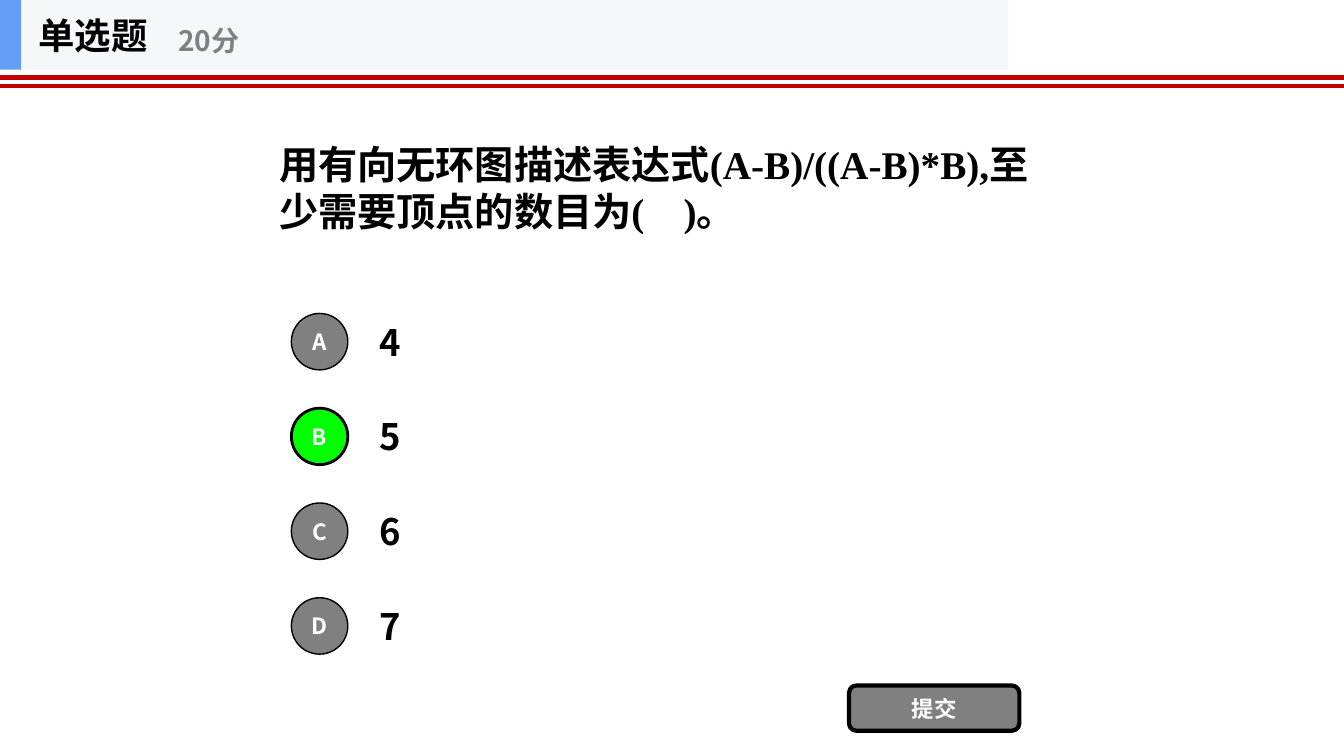
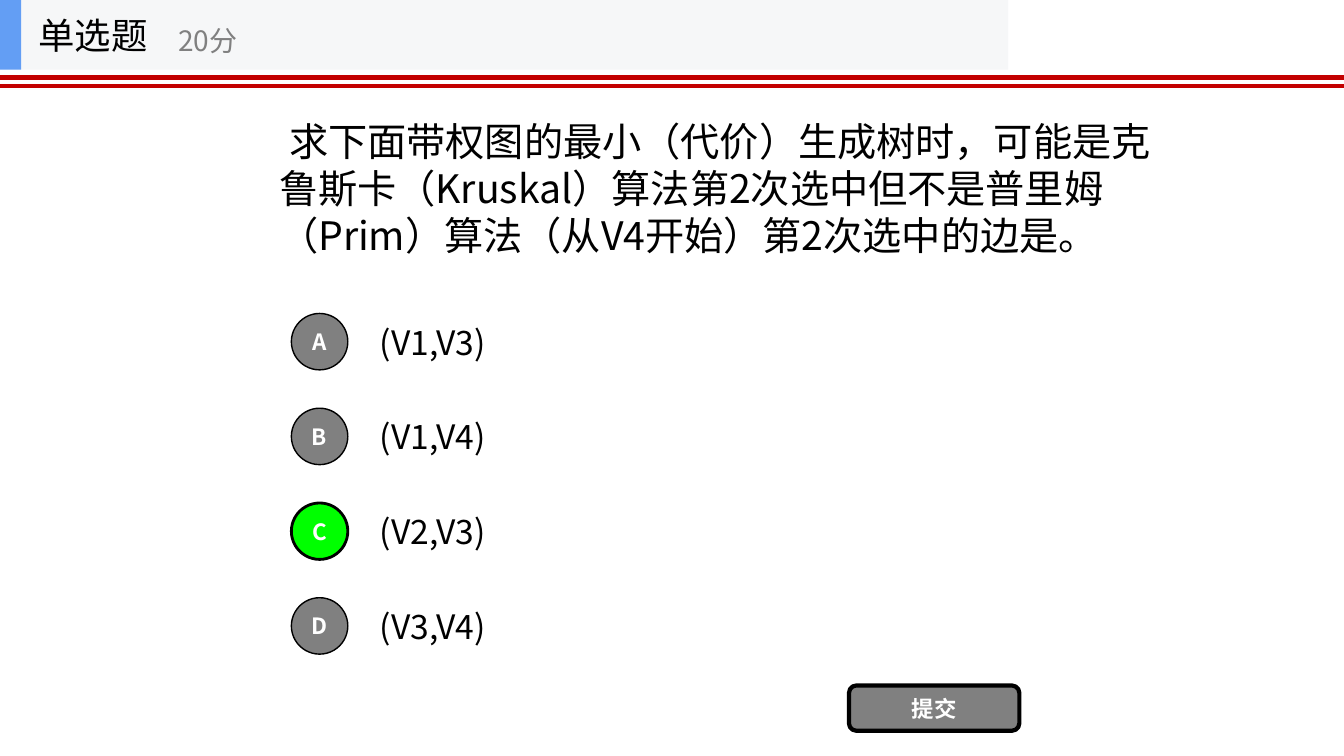
"""Two single-choice quiz slides with a shared header, option list and submit button."""
from lxml import etree
from pptx import Presentation
from pptx.dml.color import RGBColor
from pptx.enum.shapes import MSO_CONNECTOR, MSO_SHAPE as SHAPE
from pptx.enum.text import MSO_ANCHOR, MSO_AUTO_SIZE, PP_ALIGN as ALIGN
from pptx.oxml.ns import qn
from pptx.util import Inches, Pt

SANS, SERIF = "Noto Sans CJK SC", "Times New Roman"
BLACK, WHITE, GREY = "000000", "FFFFFF", "808080"
RED, GREEN, BLUE, PALE = "C30000", "00FF00", "639EF4", "F6F7F8"
ROW_GAP = 0.94

QUESTIONS = [
    dict(text="用有向无环图描述表达式(A-B)/((A-B)*B),至少需要顶点的数目为(　)。",
         width=8, font=SERIF, bold=True, indent=0,
         options=["4", "5", "6", "7"], option_size=26, answer="B"),
    dict(text="求下面带权图的最小（代价）生成树时，可能是克鲁斯卡（Kruskal）算法第2次选中"
              "但不是普里姆（Prim）算法（从V4开始）第2次选中的边是。",
         width=8.86, font=SANS, bold=False, indent=0.1,
         options=["(V1,V3)", "(V1,V4)", "(V2,V3)", "(V3,V4)"], option_size=24, answer="C"),
]


def write(sp, text, size, color=BLACK, bold=False, font=SANS, align=ALIGN.LEFT, indent=0):
    tf = sp.text_frame
    tf.word_wrap = True
    tf.auto_size = MSO_AUTO_SIZE.NONE
    tf.vertical_anchor = MSO_ANCHOR.MIDDLE
    p = tf.paragraphs[0]
    p.alignment = align
    if indent:
        p._p.get_or_add_pPr().set("indent", str(Inches(indent)))
    r = p.add_run()
    r.text = text
    r.font.size, r.font.bold, r.font.name = Pt(size), bold, font
    r.font.color.rgb = RGBColor.from_string(color)
    etree.SubElement(r._r.get_or_add_rPr(), qn("a:ea")).set("typeface", SANS)


def add_box(s, kind, x, y, w, h, fill, line=0, label=""):
    sp = s.shapes.add_shape(kind, Inches(x), Inches(y), Inches(w), Inches(h))
    sp.shadow.inherit = False
    sp.fill.solid()
    sp.fill.fore_color.rgb = RGBColor.from_string(fill)
    if line:
        sp.line.color.rgb = RGBColor.from_string(BLACK)
        sp.line.width = Pt(line)
    else:
        sp.line.fill.background()
    if label:
        tf = sp.text_frame
        tf.margin_left = tf.margin_right = tf.margin_top = tf.margin_bottom = 0
        write(sp, label, 16, WHITE, True, align=ALIGN.CENTER)
    return sp


prs = Presentation()
prs.slide_width, prs.slide_height = Inches(13.33), Inches(7.5)

for q in QUESTIONS:
    s = prs.slides.add_slide(prs.slide_layouts[5])
    bold = q["bold"]

    title = s.shapes.title
    title.left, title.top, title.width, title.height = Inches(0.28), 0, Inches(2.08), Inches(0.69)
    write(title, "单选题", 26, bold=bold)
    for width, color in [(10, PALE), (0.21, BLUE)]:
        band = add_box(s, SHAPE.RECTANGLE, 0, 0, width, 0.69, color)
        title.element.addprevious(band.element)
    for y in (0.77, 0.85):
        rule = s.shapes.add_connector(MSO_CONNECTOR.STRAIGHT, 0, Inches(y), prs.slide_width, Inches(y))
        rule.line.color.rgb = RGBColor.from_string(RED)
        rule.line.width = Pt(3)
        etree.SubElement(rule.element.spPr, qn("a:effectLst"))

    score = s.shapes.add_textbox(Inches(1.67), Inches(0.12), Inches(2.5), Inches(0.56))
    write(score, "20分", 20, GREY, bold)
    question = s.shapes.add_textbox(Inches(2.67), Inches(0.69), Inches(q["width"]), Inches(2.34))
    write(question, q["text"], 28, bold=bold, font=q["font"], indent=q["indent"])

    for i, (letter, option) in enumerate(zip("ABCD", q["options"])):
        y = 3.04 + i * ROW_GAP
        choice = s.shapes.add_textbox(Inches(3.67), Inches(y), Inches(7), Inches(0.7))
        write(choice, option, q["option_size"], bold=bold)
        fill, line = (GREEN, 2) if letter == q["answer"] else (GREY, 1)
        add_box(s, SHAPE.OVAL, 2.89, y + 0.07, 0.56, 0.56, fill, line, letter)

    add_box(s, SHAPE.ROUNDED_RECTANGLE, 8.42, 6.8, 1.69, 0.45, GREY, 3, "提交")

prs.save("out.pptx")
